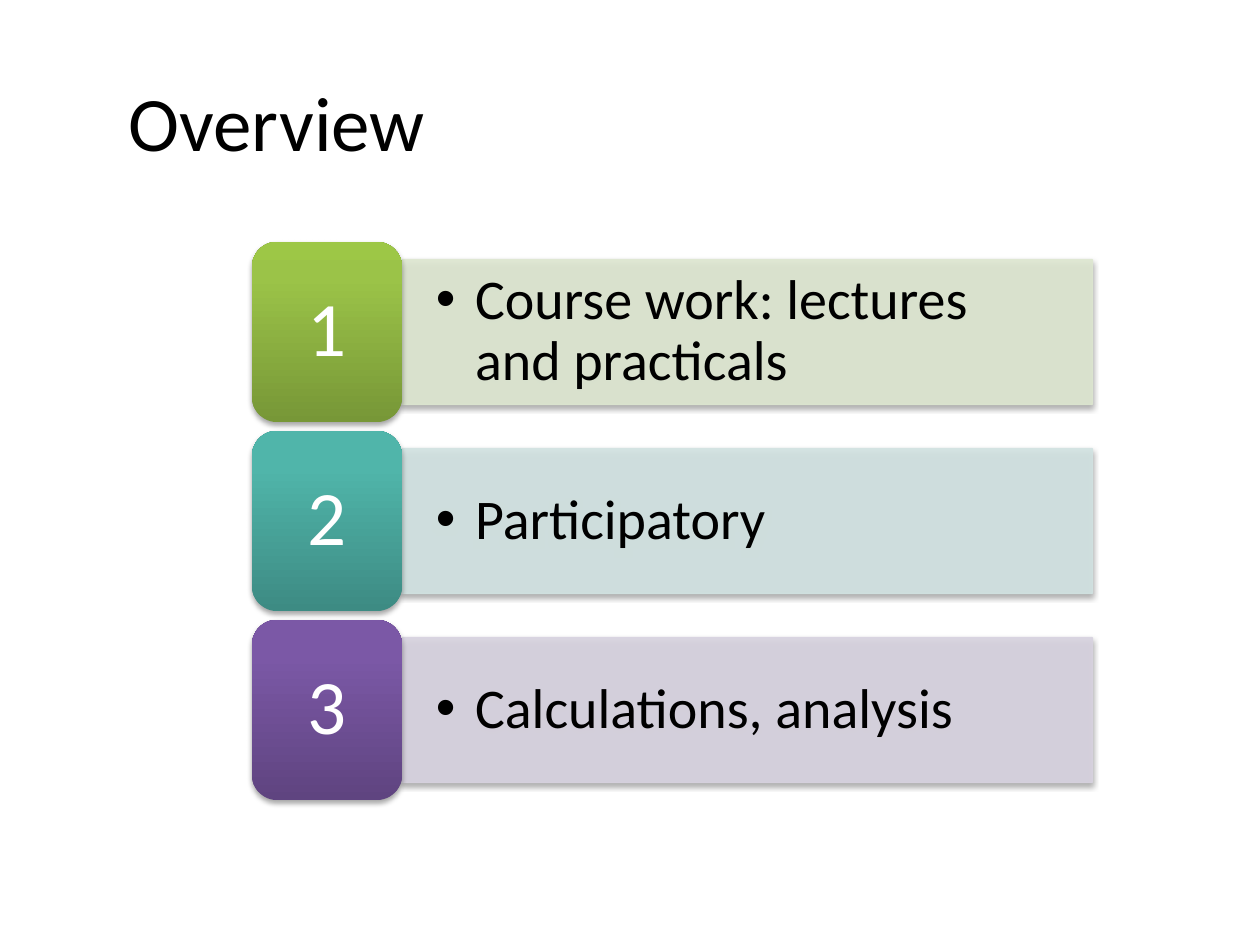
from lxml import etree
from pptx import Presentation
from pptx import util as u
from pptx.dml.color import RGBColor
from pptx.enum import shapes, text
from pptx.oxml.ns import qn

COLOURS = {"text": "000000", "number": "FFFFFF", "shadow": "000000"}
STEPS = [
    ("Course work: lectures and practicals", "DEE7D1", ("779737", "9BC348", "9DC746")),
    ("Participatory", "D2E3E2", ("3D8B83", "50B5AA", "4EB8AC")),
    ("Calculations, analysis", "D8D3E0", ("5F4480", "7B58A6", "7C57A8")),
]
STOPS = (0, 80, 100)
TILE_LEFT, TILE_WIDTH, TILE_HEIGHT = 2, 1.19, 1.43
PANEL_WIDTH, PANEL_HEIGHT = 5.48, 1.15
FIRST_ROW, ROW_PITCH = 1.92, 1.5


def add_element(parent, tag, **attributes):
    """Append a DrawingML element with the given attributes."""
    element = etree.SubElement(parent, qn(tag))
    for name, value in attributes.items():
        element.set(name, str(value))
    return element


def add_colour(parent, colour, opacity=100):
    """Append a colour, see-through when the opacity is below 100 percent."""
    element = add_element(parent, "a:srgbClr", val=colour)
    if opacity < 100:
        add_element(element, "a:alpha", val=opacity * 1000)


def add_shadow(shape):
    """Give a shape a soft shadow that falls downwards."""
    shape.shadow.inherit = False
    effects = shape._element.spPr.find(qn("a:effectLst"))
    shadow = add_element(effects, "a:outerShdw", blurRad=u.Pt(3.1), dist=u.Pt(1.8),
                         dir=90 * 60000, rotWithShape=0)
    add_colour(shadow, COLOURS["shadow"], 35)


def add_run(paragraph, words, size, colour):
    """Add one formatted run of text."""
    run = paragraph.add_run()
    run.text = words
    run.font.name = "Calibri"
    run.font.size = u.Pt(size)
    run.font.color.rgb = RGBColor.from_string(colour)


def add_block(slide, kind, box, margins):
    """Add a shadowed shape and return it with its first paragraph."""
    shape = slide.shapes.add_shape(kind, *(u.Inches(length) for length in box))
    add_shadow(shape)
    frame = shape.text_frame
    frame.word_wrap = True
    frame.vertical_anchor = text.MSO_ANCHOR.MIDDLE
    frame.margin_left = frame.margin_right = u.Inches(margins[0])
    frame.margin_top = frame.margin_bottom = u.Inches(margins[1])
    paragraph = frame.paragraphs[0]
    paragraph.line_spacing = 0.9
    return shape, paragraph


def add_panel(slide, top, words, colour):
    """Add the pale panel with its bulleted text."""
    box = (TILE_LEFT + TILE_WIDTH, top + (TILE_HEIGHT - PANEL_HEIGHT) / 2,
           PANEL_WIDTH, PANEL_HEIGHT)
    shape, paragraph = add_block(slide, shapes.MSO_SHAPE.RECTANGLE, box, (0.27, 0.14))
    shape.line.width = u.Pt(0.75)
    for fill in (shape.fill, shape.line.fill):
        fill.solid()
        fill.fore_color.rgb = RGBColor.from_string(colour)
    for element in shape._element.spPr.iter(qn("a:srgbClr")):
        if element.get("val") == colour:
            add_element(element, "a:alpha", val=90000)
    paragraph.alignment = text.PP_ALIGN.LEFT
    properties = paragraph._p.get_or_add_pPr()
    properties.set("marL", str(u.Inches(0.31)))
    properties.set("indent", str(-u.Inches(0.31)))
    add_element(properties, "a:buFont", typeface="Arial")
    add_element(properties, "a:buChar", char="•")
    add_run(paragraph, words, 32, COLOURS["text"])


def add_tile(slide, top, number, gradient):
    """Add the numbered tile, darkest at its foot."""
    box = (TILE_LEFT, top, TILE_WIDTH, TILE_HEIGHT)
    shape, paragraph = add_block(slide, shapes.MSO_SHAPE.ROUNDED_RECTANGLE, box, (0.18, 0.09))
    shape.line.fill.background()
    shape.fill.gradient()
    shape.fill.gradient_angle = 90
    stops = shape._element.spPr.find(qn("a:gradFill")).find(qn("a:gsLst"))
    for stop in list(stops):
        stops.remove(stop)
    for position, colour in zip(STOPS, gradient):
        add_colour(add_element(stops, "a:gs", pos=position * 1000), colour)
    paragraph.alignment = text.PP_ALIGN.CENTER
    add_run(paragraph, str(number), 44, COLOURS["number"])


def set_title(slide, words):
    """Place and fill the title placeholder."""
    title = slide.shapes.title
    title.left, title.top = u.Inches(0.92), u.Inches(0.33)
    title.width, title.height = u.Inches(8.83), u.Inches(1.25)
    title.text_frame.vertical_anchor = text.MSO_ANCHOR.MIDDLE
    paragraph = title.text_frame.paragraphs[0]
    paragraph.alignment = text.PP_ALIGN.LEFT
    add_run(paragraph, words, 44, COLOURS["text"])


def main():
    """Build and save the overview slide."""
    presentation = Presentation()
    presentation.slide_width, presentation.slide_height = u.Inches(10), u.Inches(7.5)
    slide = presentation.slides.add_slide(presentation.slide_layouts.get_by_name("Title Only"))
    set_title(slide, "Overview")
    for row, (words, panel_colour, gradient) in enumerate(STEPS):
        top = FIRST_ROW + row * ROW_PITCH
        add_panel(slide, top, words, panel_colour)
        add_tile(slide, top, row + 1, gradient)
    presentation.save("out.pptx")


if __name__ == "__main__":
    main()
